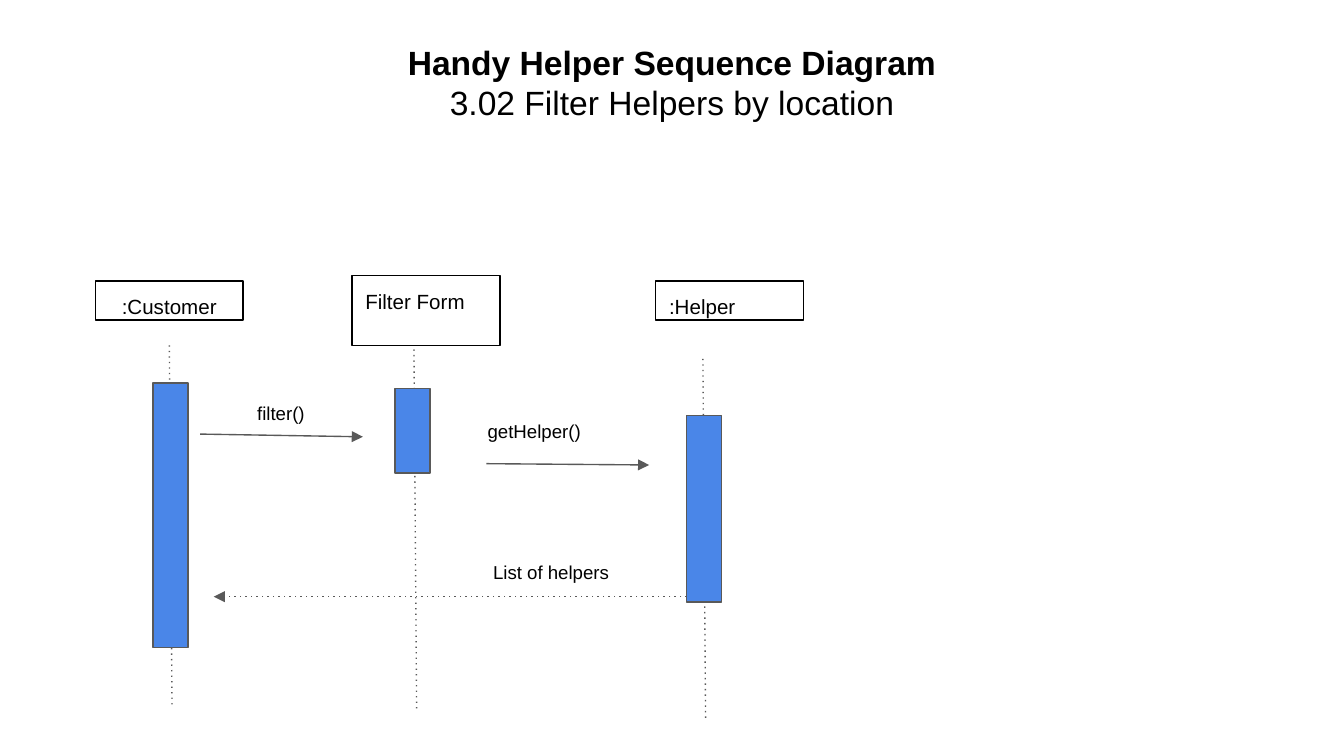
from lxml.etree import SubElement
from pptx import Presentation
from pptx.dml.color import RGBColor
from pptx.enum.shapes import MSO_CONNECTOR, MSO_SHAPE
from pptx.enum.text import MSO_ANCHOR, MSO_AUTO_SIZE, PP_ALIGN
from pptx.oxml.ns import qn
from pptx.util import Inches, Pt

BLACK, GREY, BLUE = "000000", "595959", "4A86E8"


def write(sp, text, size=11, bold_first=False, align=PP_ALIGN.CENTER, anchor=MSO_ANCHOR.TOP):
    """Fill a shape with one paragraph per line of text."""
    tf = sp.text_frame
    tf.text = text
    tf.word_wrap = True
    tf.auto_size = MSO_AUTO_SIZE.NONE
    tf.vertical_anchor = anchor
    tf.margin_left = tf.margin_right = tf.margin_top = tf.margin_bottom = Inches(0.1)
    for i, p in enumerate(tf.paragraphs):
        p.alignment = align
        font = p.runs[0].font
        font.name, font.size = "Arial", Pt(size)
        font.bold = bold_first and i == 0
        font.color.rgb = RGBColor.from_string(BLACK)


def add_line(x1, y1, x2, y2, dotted=False, arrow=False):
    c = s.shapes.add_connector(MSO_CONNECTOR.STRAIGHT, Inches(x1), Inches(y1), Inches(x2), Inches(y2))
    c.line.color.rgb = RGBColor.from_string(GREY)
    c.line.width = Pt(0.75)
    ln = c.line._get_or_add_ln()
    if dotted:
        SubElement(ln, qn("a:prstDash"), val="dot")
    if arrow:
        SubElement(ln, qn("a:tailEnd"), type="triangle", w="med", len="med")
    SubElement(c._element.spPr, qn("a:effectLst"))


prs = Presentation()
prs.slide_width, prs.slide_height = Inches(10), Inches(10 * 9 / 16)
s = prs.slides.add_slide(prs.slide_layouts[5])

title = s.shapes.title
title.left, title.top, title.width, title.height = Inches(0.34), Inches(0.21), Inches(9.32), Inches(0.63)
write(title, "Handy Helper Sequence Diagram\n3.02 Filter Helpers by location", size=18, bold_first=True)

# Participants: name, alignment, head (left, top, height), lifeline (x, top), bar (left, top, height)
participants = [
    (":Customer", PP_ALIGN.CENTER, (0.71, 2.09, 0.29), (1.26, 2.57), (1.14, 2.85, 1.97)),
    ("Filter Form", PP_ALIGN.LEFT, (2.62, 2.05, 0.52), (3.08, 2.6), (2.94, 2.89, 0.63)),
    (":Helper", PP_ALIGN.LEFT, (4.88, 2.09, 0.29), (5.23, 2.67), (5.11, 3.09, 1.39)),
]
for name, align, head, (x, y), bar in participants:
    add_line(x, y, x + 0.02, y + 2.68, dotted=True)
    for (left, top, height), width, fill, line in ((head, 1.1, None, BLACK), (bar, 0.26, BLUE, GREY)):
        sp = s.shapes.add_shape(MSO_SHAPE.RECTANGLE, Inches(left), Inches(top), Inches(width), Inches(height))
        sp.shadow.inherit = False
        sp.line.color.rgb = RGBColor.from_string(line)
        sp.line.width = Pt(0.75)
        if fill:
            sp.fill.solid()
            sp.fill.fore_color.rgb = RGBColor.from_string(fill)
        else:
            sp.fill.background()
            write(sp, name, align=align)

# Messages: label, label box, alignment, anchor, arrow ends, dotted
messages = [
    ("filter()", (1.4, 2.96, 1.38, 0.22), PP_ALIGN.CENTER, MSO_ANCHOR.MIDDLE, (1.49, 3.23, 2.7, 3.25), False),
    ("getHelper()", (3.53, 3.1, 1.38, 0.22), PP_ALIGN.LEFT, MSO_ANCHOR.MIDDLE, (3.62, 3.45, 4.83, 3.46), False),
    ("List of helpers", (3.37, 4.07, 1.46, 0.34), PP_ALIGN.CENTER, MSO_ANCHOR.TOP, (5.11, 4.44, 1.59, 4.44), True),
]
for label, box, align, anchor, ends, dotted in messages:
    add_line(*ends, dotted=dotted, arrow=True)
    tb = s.shapes.add_textbox(*map(Inches, box))
    write(tb, label, size=10, align=align, anchor=anchor)

prs.save("out.pptx")
